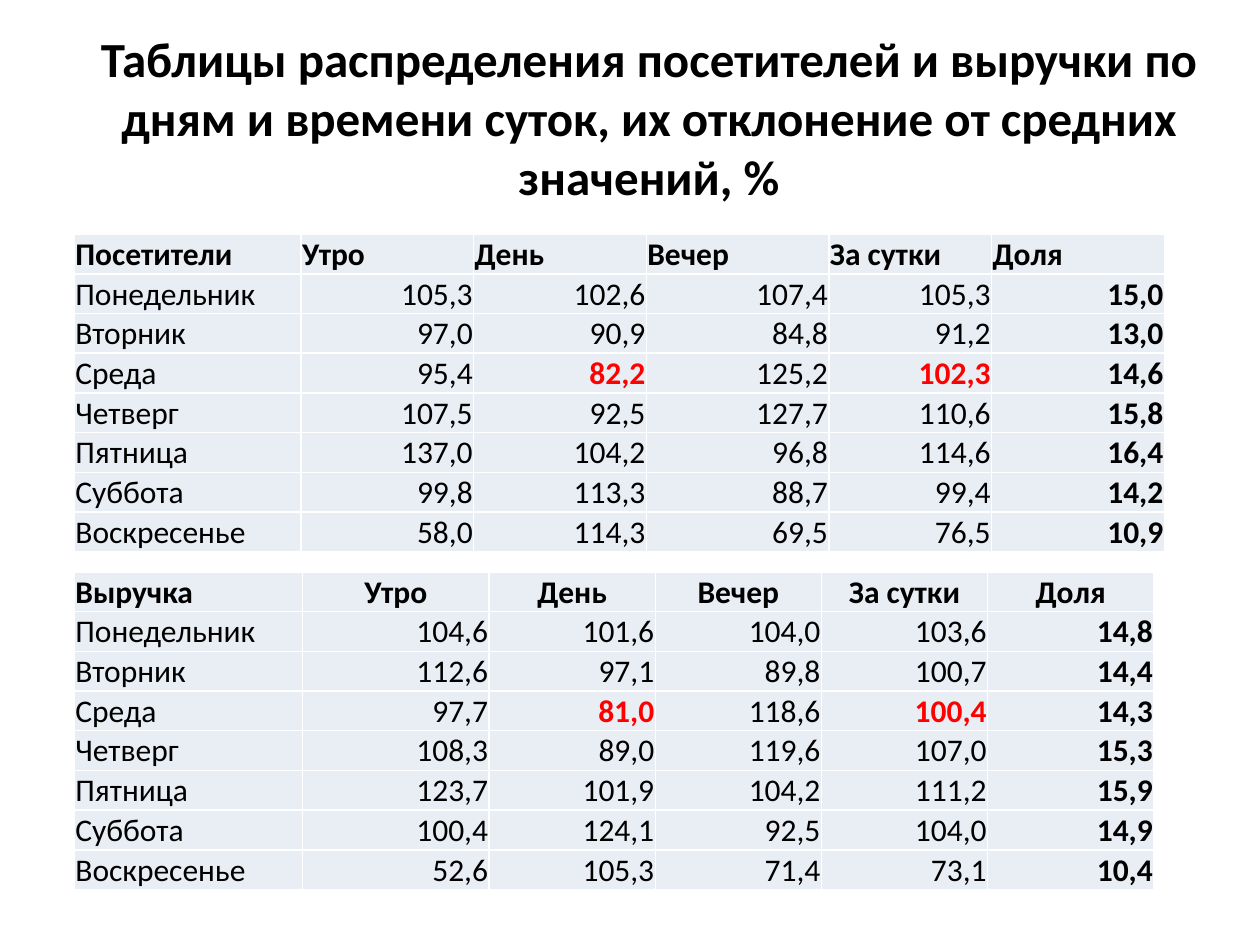
from pptx import Presentation
from pptx.dml.color import RGBColor
from pptx.enum.text import MSO_ANCHOR as Anchor, PP_ALIGN as Align
from pptx.util import Cm, Pt

BLACK = RGBColor(0x00, 0x00, 0x00)
RED = RGBColor(0xFF, 0x00, 0x00)
PALE_BLUE = RGBColor(0xE9, 0xED, 0xF4)

TITLE = ("Таблицы распределения посетителей и выручки по дням и времени суток, "
         "их отклонение от средних значений, %")
PERIODS = ["Утро", "День", "Вечер", "За сутки", "Доля"]
DAYS = ["Понедельник", "Вторник", "Среда", "Четверг", "Пятница", "Суббота", "Воскресенье"]
HIGHLIGHTS = {("Среда", "День"), ("Среда", "За сутки")}

TABLES = [
    {
        "name": "Посетители", "top": 4.72, "header_align": Align.LEFT,
        "widths": [4.57, 3.48, 3.48, 3.68, 3.28, 3.48],
        "values": [
            ["105,3", "102,6", "107,4", "105,3", "15,0"],
            ["97,0", "90,9", "84,8", "91,2", "13,0"],
            ["95,4", "82,2", "125,2", "102,3", "14,6"],
            ["107,5", "92,5", "127,7", "110,6", "15,8"],
            ["137,0", "104,2", "96,8", "114,6", "16,4"],
            ["99,8", "113,3", "88,7", "99,4", "14,2"],
            ["58,0", "114,3", "69,5", "76,5", "10,9"],
        ],
    },
    {
        "name": "Выручка", "top": 11.53, "header_align": Align.CENTER,
        "widths": [4.6, 3.76] + [3.35] * 4,
        "values": [
            ["104,6", "101,6", "104,0", "103,6", "14,8"],
            ["112,6", "97,1", "89,8", "100,7", "14,4"],
            ["97,7", "81,0", "118,6", "100,4", "14,3"],
            ["108,3", "89,0", "119,6", "107,0", "15,3"],
            ["123,7", "101,9", "104,2", "111,2", "15,9"],
            ["100,4", "124,1", "92,5", "104,0", "14,9"],
            ["52,6", "105,3", "71,4", "73,1", "10,4"],
        ],
    },
]
TABLE_LEFT = 1.5
ROW_HEIGHT = 0.8
CELL_FORMAT = {
    "vertical_anchor": Anchor.BOTTOM,
    "margin_left": Cm(0.02), "margin_right": Cm(0.02),
    "margin_top": Cm(0.02), "margin_bottom": Cm(0),
}


def apply_format(target, values):
    for name, value in values.items():
        setattr(target, name, value)


def write_text(frame, text, size, bold, align, color=BLACK):
    para = frame.paragraphs[0]
    para.alignment = align
    span = para.add_run()
    span.text = text
    apply_format(span.font, {"name": "Calibri", "size": Pt(size), "bold": bold})
    span.font.color.rgb = color


def add_title(page):
    title = page.shapes.title
    apply_format(title, {"left": Cm(1.27), "top": Cm(0.76),
                         "width": Cm(23.62), "height": Cm(3.18)})
    title.text_frame.vertical_anchor = Anchor.MIDDLE
    write_text(title.text_frame, TITLE, 28, True, Align.CENTER)


def add_day_table(page, data):
    """Add one table of days by time of day, with red marks on the highlights."""
    header = [data["name"], *PERIODS]
    rows = [header] + [[day, *values] for day, values in zip(DAYS, data["values"])]
    table = page.shapes.add_table(
        len(rows), len(header), Cm(TABLE_LEFT), Cm(data["top"]),
        Cm(sum(data["widths"])), Cm(ROW_HEIGHT * len(rows))).table
    apply_format(table, {"first_row": False, "horz_banding": False})
    for column, width in zip(table.columns, data["widths"]):
        column.width = Cm(width)

    for r, row in enumerate(rows):
        for c, text in enumerate(row):
            cell = table.cell(r, c)
            apply_format(cell, CELL_FORMAT)
            cell.fill.solid()
            cell.fill.fore_color.rgb = PALE_BLUE
            marked = (row[0], header[c]) in HIGHLIGHTS
            bold = r == 0 or header[c] == "Доля" or marked
            if c == 0:
                align = Align.LEFT
            else:
                align = data["header_align"] if r == 0 else Align.RIGHT
            write_text(cell.text_frame, text, 18, bold, align, RED if marked else BLACK)


def main():
    deck = Presentation()
    apply_format(deck, {"slide_width": Cm(25.4), "slide_height": Cm(19.05)})
    page = deck.slides.add_slide(deck.slide_layouts.get_by_name("Title Only"))
    add_title(page)
    for data in TABLES:
        add_day_table(page, data)
    deck.save("out.pptx")


if __name__ == "__main__":
    main()
